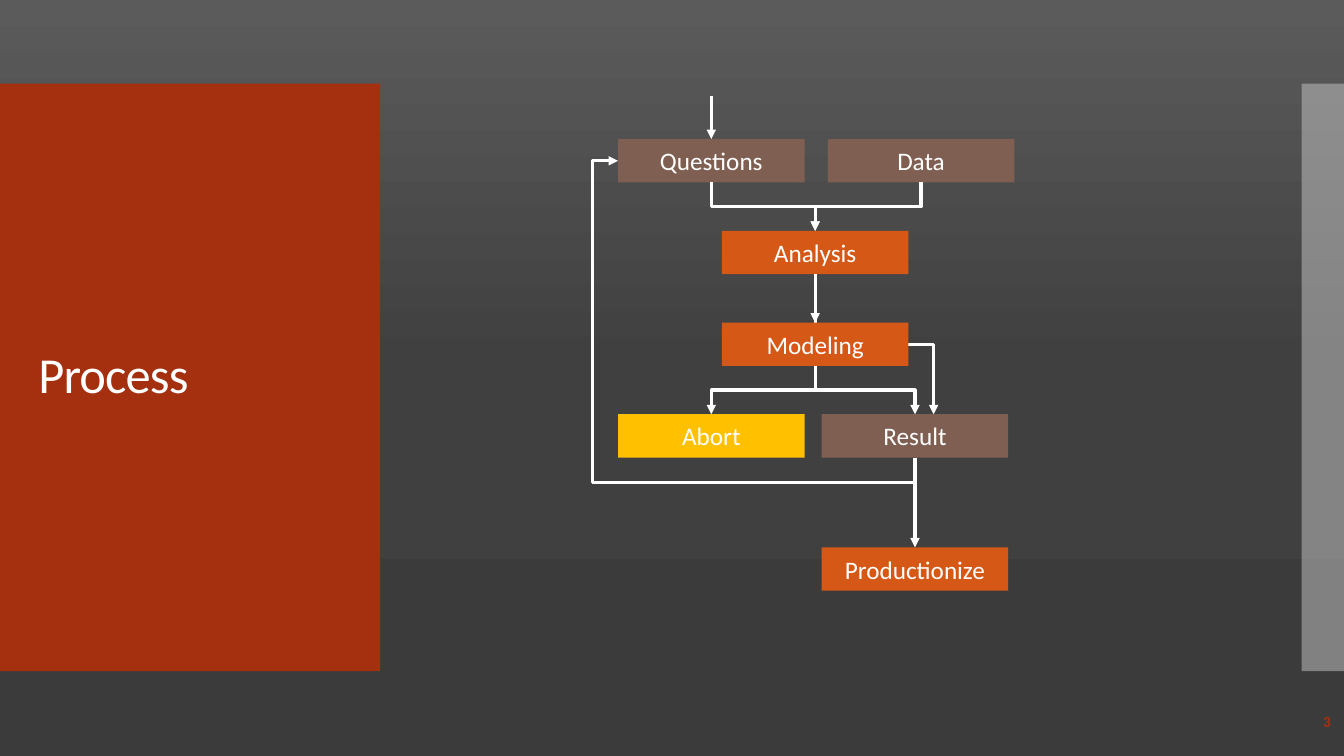
from copy import deepcopy
from pptx import Presentation
from pptx.dml.color import RGBColor
from pptx.enum import shapes, text
from pptx.oxml.ns import qn
from pptx.oxml.xmlchemy import OxmlElement
from pptx.util import Inches, Pt

WHITE, RED, BROWN, ORANGE, GOLD = "FFFFFF", "A5300F", "7F5F52", "D55816", "FFC000"
TOP, LEFT, BOTTOM = 0, 1, 2  # connection sites of a box


def rgb(code):
    return RGBColor.from_string(code)


def add(parent, tag, **attrs):
    node = OxmlElement(tag)
    for key, val in attrs.items():
        node.set(key, str(val))
    parent.append(node)
    return node


def write(shape, words, size=18, color=WHITE, bold=False, align="CENTER", space=1, track=0):
    frame = shape.text_frame
    frame.word_wrap = True
    frame.vertical_anchor = text.MSO_ANCHOR.MIDDLE
    par = frame.paragraphs[0]
    par.alignment = getattr(text.PP_ALIGN, align)
    par.line_spacing = space
    run = par.add_run()
    run.text = words
    font = run.font
    font.name, font.size, font.bold = "Calibri", Pt(size), bold
    font.color.rgb = rgb(color)
    if track:
        shape.element.find(".//" + qn("a:rPr")).set("spc", str(track))


def block(slide, box, fill, words="", alpha=None):
    shape = slide.shapes.add_shape(shapes.MSO_SHAPE.RECTANGLE, *map(Inches, box))
    shape.shadow.inherit = False
    shape.fill.solid()
    shape.fill.fore_color.rgb = rgb(fill)
    shape.line.fill.background()
    if alpha:
        add(shape.element.spPr.find(".//" + qn("a:srgbClr")), "a:alpha", val=alpha * 1000)
    if words:
        write(shape, words)
    return shape


def arrow(slide, start, end, kind="STRAIGHT", ends=None):
    points = [Inches(v) for v in (*start, *end)]
    line = slide.shapes.add_connector(getattr(shapes.MSO_CONNECTOR, kind), *points)
    if ends:
        (tail, out), (head, into) = ends
        line.begin_connect(tail, out)
        line.end_connect(head, into)
    line.line.color.rgb = rgb(WHITE)
    line.line.width = Pt(2.25)
    add(line.element.spPr.find(qn("a:ln")), "a:tailEnd", type="triangle")
    add(line.element.spPr, "a:effectLst")
    return line


def elbow(slide, start, end, ends=None, bends=(0.5,)):
    """Bent arrow that leaves its start vertically: a turned connector."""
    line = arrow(slide, start, end, "ELBOW", ends)
    (x1, y1), (x2, y2) = start, end
    wide, high = abs(y2 - y1), abs(x2 - x1)
    line.left, line.top = Inches((x1 + x2 - wide) / 2), Inches((y1 + y2 - high) / 2)
    line.width, line.height = Inches(wide), Inches(high)
    form = line.element.spPr.find(qn("a:xfrm"))
    form.set("rot", str((270 if x2 > x1 else 90) * 60000))
    form.set("flipH", str(int(x2 > x1 or y2 < y1)))
    form.set("flipV", "0")
    geom = line.element.spPr.find(qn("a:prstGeom"))
    geom.set("prst", f"bentConnector{len(bends) + 2}")
    for old in list(geom):
        geom.remove(old)
    guides = add(geom, "a:avLst")
    for num, bend in enumerate(bends, 1):
        add(guides, "a:gd", name=f"adj{num}", fmla=f"val {round(bend * 100000)}")


def backdrop(slide):
    fill = slide.background.fill
    fill.gradient()
    fill.gradient_angle = 270
    stops = slide.element.find(".//" + qn("a:gsLst"))
    stops.append(deepcopy(stops[-1]))
    looks = ((0, "5B5B5B"), (0.48, "404040"), (1, "3B3B3B"))
    for stop, (place, color) in zip(fill.gradient_stops, looks):
        stop.position = place
        stop.color.rgb = rgb(color)


def panels(slide, box):
    x, y, wide, high = box
    block(slide, (x, y, 3.77, high), RED)
    block(slide, (x + wide - 0.42, y, 0.42, high), "C8C8C8", alpha=50)
    # Title lies over the red panel
    title = slide.shapes.title
    slide.shapes.element.append(title.element)
    title.left, title.top = Inches(x + 0.28), Inches(y + 0.4)
    title.width, title.height = Inches(3.22), Inches(high - 0.8)
    write(title, "Process", size=36, align="LEFT", space=0.9, track=-60)


def number(slide, box):
    note = slide.shapes.add_textbox(*map(Inches, box))
    write(note, "3", size=11, color=RED, bold=True, align="RIGHT")


def flow(slide, box):
    x, y = box
    wide, high, step = 1.85, 0.43, 0.91
    first = y + 0.43
    left, mid, right = x + 0.25, x + 1.28, x + 2.27
    plan = {
        "Questions": (left, first, BROWN),
        "Data": (x + 2.33, first, BROWN),
        "Analysis": (mid, first + step, ORANGE),
        "Modeling": (mid, first + 2 * step, ORANGE),
        "Result": (right, first + 3 * step, BROWN),
        "Abort": (left, first + 3 * step, GOLD),
        "Productionize": (right, first + 4.05, ORANGE),
    }

    def site(name, side):
        px, py, _ = plan[name]
        return {TOP: (px + wide / 2, py), LEFT: (px, py + high / 2),
                BOTTOM: (px + wide / 2, py + high)}[side]

    # Side route to the result, partly behind the modeling box
    elbow(slide, site("Analysis", BOTTOM), (x + 3.38, first + 3 * step))

    steps = {name: block(slide, (px, py, wide, high), fill, name)
             for name, (px, py, fill) in plan.items()}

    def link(tail, head, draw=elbow, into=TOP, **form):
        draw(slide, site(tail, BOTTOM), site(head, into),
             ends=((steps[tail], BOTTOM), (steps[head], into)), **form)

    # Links between steps
    for tail, head in (("Questions", "Analysis"), ("Data", "Analysis"),
                       ("Modeling", "Abort"), ("Modeling", "Result")):
        link(tail, head)
    link("Analysis", "Modeling", arrow)
    link("Result", "Productionize", arrow)
    link("Result", "Questions", into=LEFT, bends=(-0.085, 1.085))

    # Way in
    entry = site("Questions", TOP)
    arrow(slide, (entry[0], y), entry)


deck = Presentation()
deck.slide_width, deck.slide_height = Inches(13.33), Inches(7.5)
page = deck.slides.add_slide(deck.slide_layouts[5])
backdrop(page)
panels(page, (0, 0.83, 13.33, 5.83))
flow(page, (5.88, 0.95))
number(page, (12.3, 6.96, 1, 0.4))
deck.save("out.pptx")
